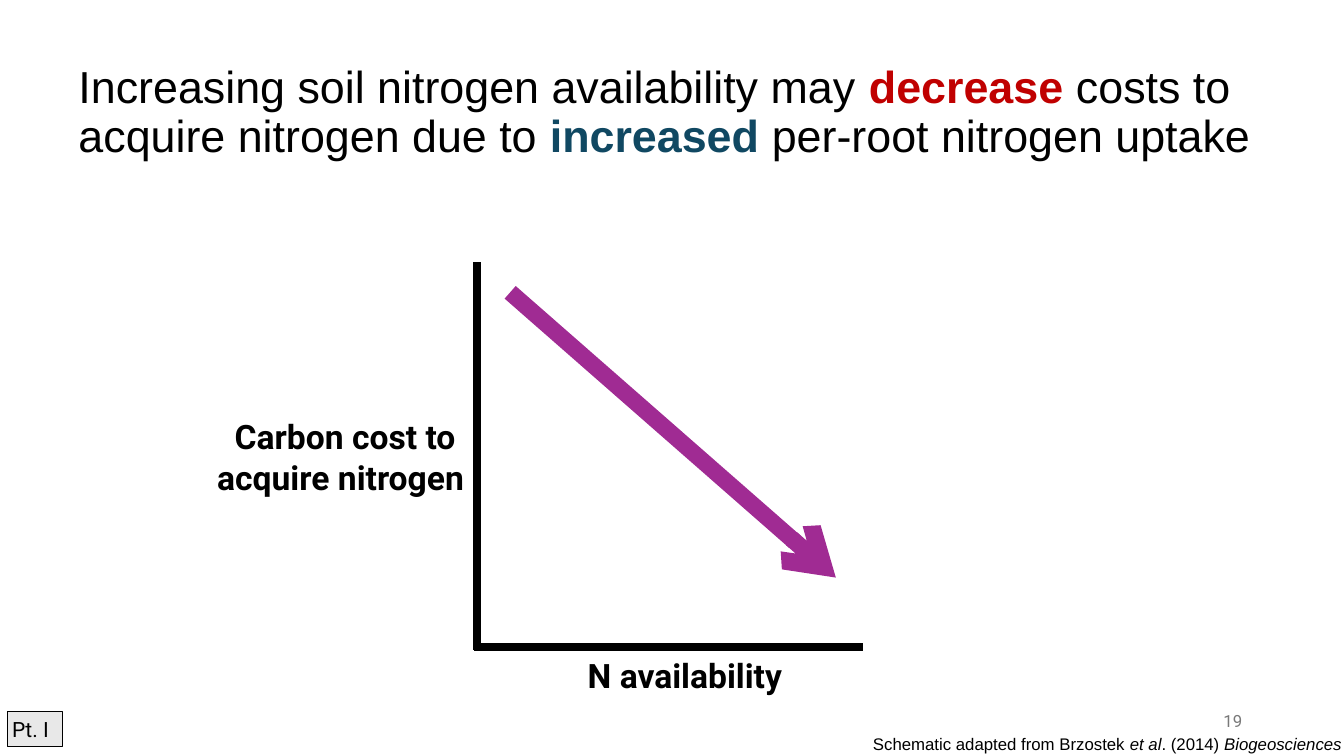
from lxml.etree import SubElement
from pptx import Presentation
from pptx.dml.color import RGBColor
from pptx.enum.shapes import MSO_CONNECTOR, MSO_SHAPE
from pptx.enum.text import MSO_ANCHOR, PP_ALIGN
from pptx.oxml.ns import qn
from pptx.util import Inches, Pt

COLORS = {
    "black": "000000", "red": "C00000", "blue": "104862",
    "purple": "A02B93", "gray": "797979", "light": "E8E8E8",
}


def color(name):
    return RGBColor.from_string(COLORS[name])


def set_font(font, size, name, ink="black", bold=None):
    font.size, font.name, font.bold = Pt(size), name, bold
    font.color.rgb = color(ink)


def add_box(slide, box, wrap=False, anchor=MSO_ANCHOR.TOP):
    """Add an empty text box and return its text frame."""
    tf = slide.shapes.add_textbox(*map(Inches, box)).text_frame
    tf.word_wrap, tf.vertical_anchor = wrap, anchor
    return tf


def add_label(slide, box, lines, size, name, ink="black", bold=None,
              align=PP_ALIGN.LEFT, **frame):
    tf = add_box(slide, box, **frame)
    for i, line in enumerate(lines):
        p = tf.add_paragraph() if i else tf.paragraphs[0]
        p.text, p.alignment = line, align
        set_font(p.font, size, name, ink, bold)


def add_line(slide, start, end, ink, width, arrow=False):
    line = slide.shapes.add_connector(
        MSO_CONNECTOR.STRAIGHT, *map(Inches, start + end))
    line.line.color.rgb, line.line.width = color(ink), Pt(width)
    if arrow:
        SubElement(line.line._get_or_add_ln(), qn("a:tailEnd"), type="arrow")
    SubElement(line._element.spPr, qn("a:effectLst"))


def add_title(slide, box):
    p = add_box(slide, box, wrap=True, anchor=MSO_ANCHOR.MIDDLE).paragraphs[0]
    p.line_spacing = 0.9
    for text, ink, bold in [
        ("Increasing soil nitrogen availability may ", "black", False),
        ("decrease", "red", True),
        (" costs to acquire nitrogen due to ", "black", False),
        ("increased", "blue", True),
        (" per-root nitrogen uptake", "black", False),
    ]:
        r = p.add_run()
        r.text = text
        set_font(r.font, 32, "Arial", ink, bold)


def add_schematic(slide, box):
    """Draw the axes, their labels and the falling arrow; box holds the axes."""
    x, y, w, h = box
    base = y + h - 0.03
    add_line(slide, (x, y), (x, y + h), "black", 6)
    add_line(slide, (x - 0.03, base), (x + w, base), "black", 6)
    add_line(slide, (x + 0.33, y + 0.3), (x + 3.56, y + 3.13),
             "purple", 12, arrow=True)
    add_label(slide, (x - 2.73, y + 1.48, 2.7, 0.91),
              ["Carbon cost to ", "acquire nitrogen"], 24, "Roboto",
              bold=True, align=PP_ALIGN.RIGHT)
    add_label(slide, (x + 1, y + h, 2.19, 0.5), ["N availability"],
              24, "Roboto", bold=True)


def add_part_tag(slide, box):
    sp = slide.shapes.add_shape(MSO_SHAPE.RECTANGLE, *map(Inches, box))
    sp.shadow.inherit = False
    sp.fill.solid()
    sp.fill.fore_color.rgb = color("light")
    sp.line.color.rgb, sp.line.width = color("black"), Pt(0.75)
    tf = sp.text_frame
    tf.word_wrap, tf.vertical_anchor = False, MSO_ANCHOR.MIDDLE
    tf.margin_left = tf.margin_right = Inches(0.05)
    p = tf.paragraphs[0]
    p.text, p.alignment = "Pt. I", PP_ALIGN.LEFT
    set_font(p.font, 15, "Roboto")


def add_citation(slide, box):
    p = add_box(slide, box).paragraphs[0]
    for text, italic in [
        ("Schematic adapted from Brzostek ", False), ("et al", True),
        (". (2014) ", False), ("Biogeosciences", True),
    ]:
        r = p.add_run()
        r.text = text
        set_font(r.font, 12, "Arial")
        r.font.italic = italic


def main():
    prs = Presentation()
    prs.slide_width, prs.slide_height = Inches(13.33), Inches(7.5)
    slide = prs.slides.add_slide(prs.slide_layouts[6])
    add_title(slide, (0.68, 0.4, 12.16, 1.45))
    add_label(slide, (9.42, 6.95, 3, 0.4), ["19"], 12, "Roboto", "gray",
              align=PP_ALIGN.RIGHT, wrap=True, anchor=MSO_ANCHOR.MIDDLE)
    add_citation(slide, (8.56, 7.23, 4.97, 0.3))
    add_part_tag(slide, (0.07, 7.06, 0.55, 0.35))
    add_schematic(slide, (4.73, 2.6, 3.83, 3.85))
    prs.save("out.pptx")


if __name__ == "__main__":
    main()
